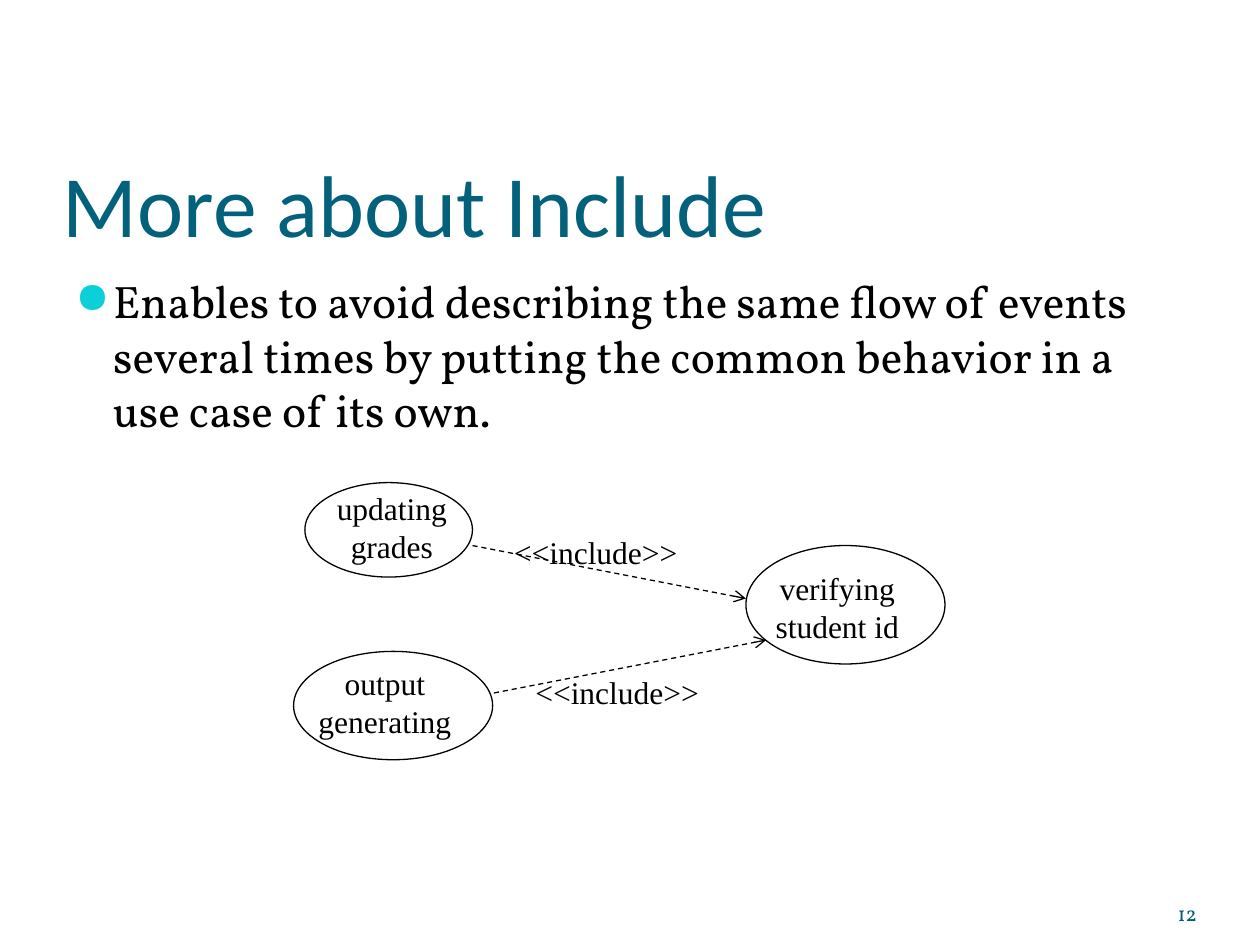
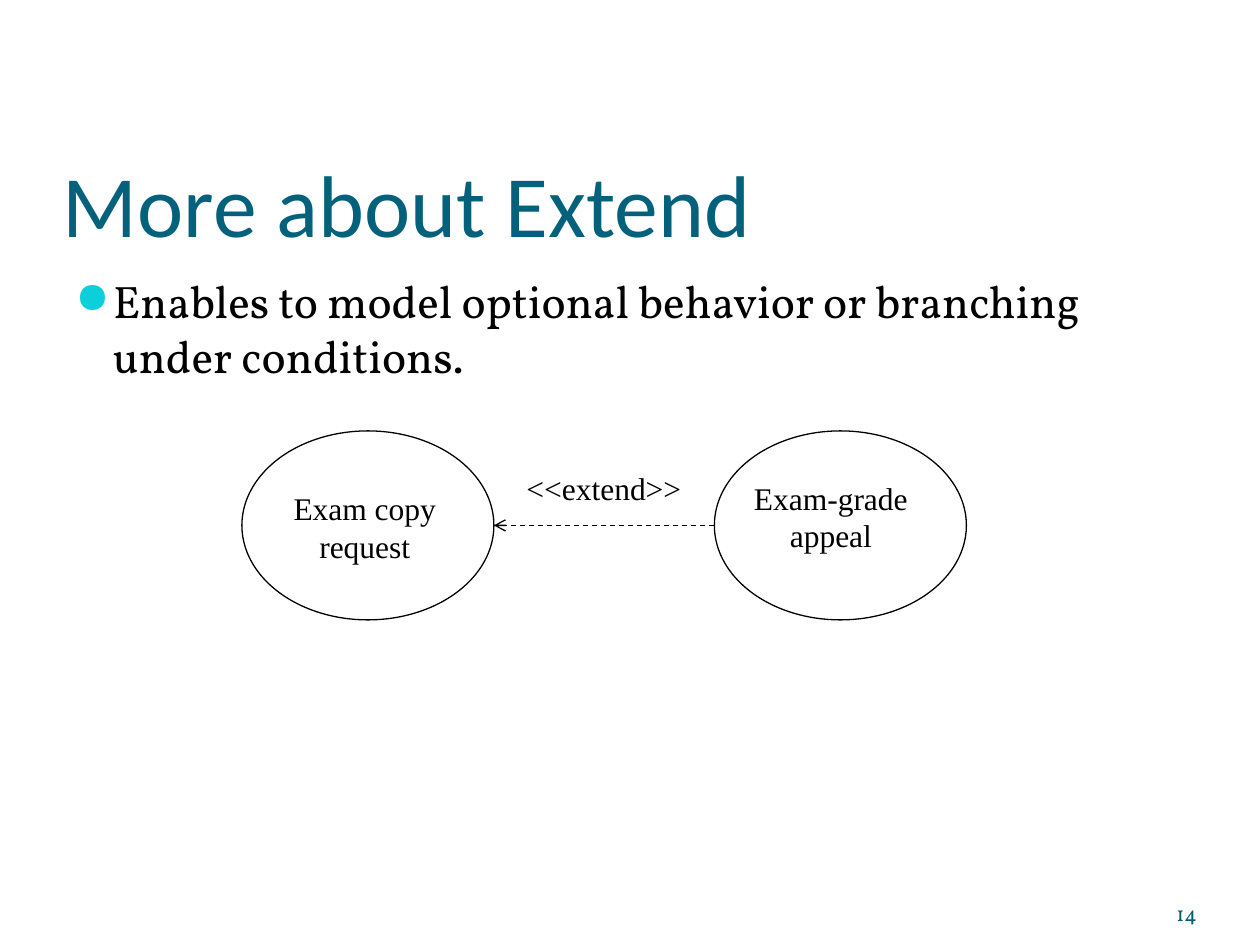
from dataclasses import dataclass

from lxml import etree
from pptx import Presentation
from pptx.dml.color import RGBColor
from pptx.enum.dml import MSO_LINE
from pptx.enum.shapes import MSO_CONNECTOR, MSO_SHAPE
from pptx.enum.text import MSO_ANCHOR, MSO_AUTO_SIZE, PP_ALIGN
from pptx.oxml.ns import qn
from pptx.util import Emu, Pt

STRAIGHT, OVAL, DASH = MSO_CONNECTOR.STRAIGHT, MSO_SHAPE.OVAL, MSO_LINE.DASH
LEFT, CENTER, RIGHT = PP_ALIGN.LEFT, PP_ALIGN.CENTER, PP_ALIGN.RIGHT
TOP, BOTTOM = MSO_ANCHOR.TOP, MSO_ANCHOR.BOTTOM
FIXED, FIT = MSO_AUTO_SIZE.NONE, MSO_AUTO_SIZE.SHAPE_TO_FIT_TEXT

PX = 9144  # EMU per px, 100 px to the inch
Box = tuple[int, int, int, int]
Point = tuple[int, int]


@dataclass(frozen=True)
class Style:
    font: str
    size: int
    color: str


@dataclass(frozen=True)
class Theme:
    title: Style = Style("Calibri", 50, "04617B")
    body: Style = Style("Vollkorn", 26, "000000")
    number: Style = Style("Vollkorn", 12, "045D75")
    diagram: Style = Style("Times New Roman", 18, "000000")
    bullet: str = "0BD0D9"
    line: str = "000000"
    line_width: float = 0.75


@dataclass(frozen=True)
class UseCase:
    oval: Box
    text: str
    text_box: Box


@dataclass(frozen=True)
class Relation:
    start: Point
    end: Point
    label: str
    label_box: Box


@dataclass(frozen=True)
class DiagramSlide:
    title: str
    body: str
    number: str
    cases: list[UseCase]
    relations: list[Relation]


THEME = Theme()
TITLE_BOX: Box = (50, 77, 900, 125)
BODY_BOX: Box = (50, 212, 900, 480)
NUMBER_BOX: Box = (867, 695, 83, 40)

SLIDES = [
    DiagramSlide(
        "More about Include",
        "Enables to avoid describing the same flow of events several times "
        "by putting the common behavior in a use case of its own.",
        "12",
        [UseCase((242, 383, 133, 75), "updating\ngrades", (250, 383, 122, 70)),
         UseCase((233, 517, 158, 86), "output\ngenerating", (233, 522, 145, 70)),
         UseCase((592, 433, 158, 94), "verifying\nstudent id", (592, 447, 145, 70))],
        [Relation((375, 433), (592, 475), "<<include>>", (398, 418, 161, 40)),
         Relation((392, 550), (608, 508), "<<include>>", (415, 529, 161, 40))],
    ),
    DiagramSlide(
        "More about Extend",
        "Enables to model optional behavior or branching under conditions.",
        "14",
        [UseCase((192, 342, 200, 150), "Exam copy request", (217, 383, 145, 70)),
         UseCase((567, 342, 200, 150), "Exam-grade appeal", (583, 375, 153, 70))],
        [Relation((567, 417), (392, 417), "<<extend>>", (408, 367, 143, 40))],
    ),
]


def emu(lengths: tuple[int, ...]) -> list[Emu]:
    return [Emu(n * PX) for n in lengths]


def add_text(slide, text: str, box: Box, style: Style, *, align=LEFT, anchor=TOP,
             insets: Box = (10, 5, 10, 5), wrap=True, fit=FIXED):
    """Add a text box with one paragraph per line of text."""
    tf = slide.shapes.add_textbox(*emu(box)).text_frame
    tf.word_wrap, tf.auto_size, tf.vertical_anchor = wrap, fit, anchor
    tf.margin_left, tf.margin_top, tf.margin_right, tf.margin_bottom = emu(insets)
    tf.text = text
    for p in tf.paragraphs:
        p.alignment = align
        font = p.runs[0].font
        font.name, font.size = style.font, Pt(style.size)
        font.color.rgb = RGBColor.from_string(style.color)
    return tf


def add_bullet(p) -> None:
    p.space_before = Pt(THEME.body.size * 0.2)
    pPr = p._p.get_or_add_pPr()
    pPr.set("marL", str(30 * PX))
    pPr.set("indent", str(-30 * PX))
    color = etree.SubElement(pPr, qn("a:buClr"))
    etree.SubElement(color, qn("a:srgbClr"), val=THEME.bullet)
    etree.SubElement(pPr, qn("a:buSzPct"), val="95000")
    etree.SubElement(pPr, qn("a:buChar"), char="●")


def set_line(sp) -> None:
    sp.line.color.rgb = RGBColor.from_string(THEME.line)
    sp.line.width = Pt(THEME.line_width)


def add_use_case(slide, case: UseCase) -> None:
    sp = slide.shapes.add_shape(OVAL, *emu(case.oval))
    sp.shadow.inherit = False
    sp.fill.background()
    set_line(sp)
    add_text(slide, case.text, case.text_box, THEME.diagram, align=CENTER, fit=FIT)


def add_relation(slide, relation: Relation) -> None:
    line = slide.shapes.add_connector(STRAIGHT, *emu(relation.start + relation.end))
    set_line(line)
    line.line.dash_style = DASH
    spPr = line._element.spPr
    etree.SubElement(spPr.find(qn("a:ln")), qn("a:tailEnd"), type="arrow")
    etree.SubElement(spPr, qn("a:effectLst"))
    add_text(slide, relation.label, relation.label_box, THEME.diagram,
             wrap=False, fit=FIT)


def add_diagram_slide(prs, content: DiagramSlide) -> None:
    slide = prs.slides.add_slide(prs.slide_layouts[6])

    # Title, bullet and slide number
    add_text(slide, content.title, TITLE_BOX, THEME.title,
             anchor=BOTTOM, insets=(0, 5, 0, 0))
    tf = add_text(slide, content.body, BODY_BOX, THEME.body)
    add_bullet(tf.paragraphs[0])
    add_text(slide, content.number, NUMBER_BOX, THEME.number,
             align=RIGHT, anchor=BOTTOM, insets=(0, 0, 0, 0))

    # Use case diagram
    for case in content.cases:
        add_use_case(slide, case)
    for relation in content.relations:
        add_relation(slide, relation)


def main() -> None:
    prs = Presentation()
    prs.slide_width, prs.slide_height = emu((1000, 750))
    for content in SLIDES:
        add_diagram_slide(prs, content)
    prs.save("out.pptx")


if __name__ == "__main__":
    main()
